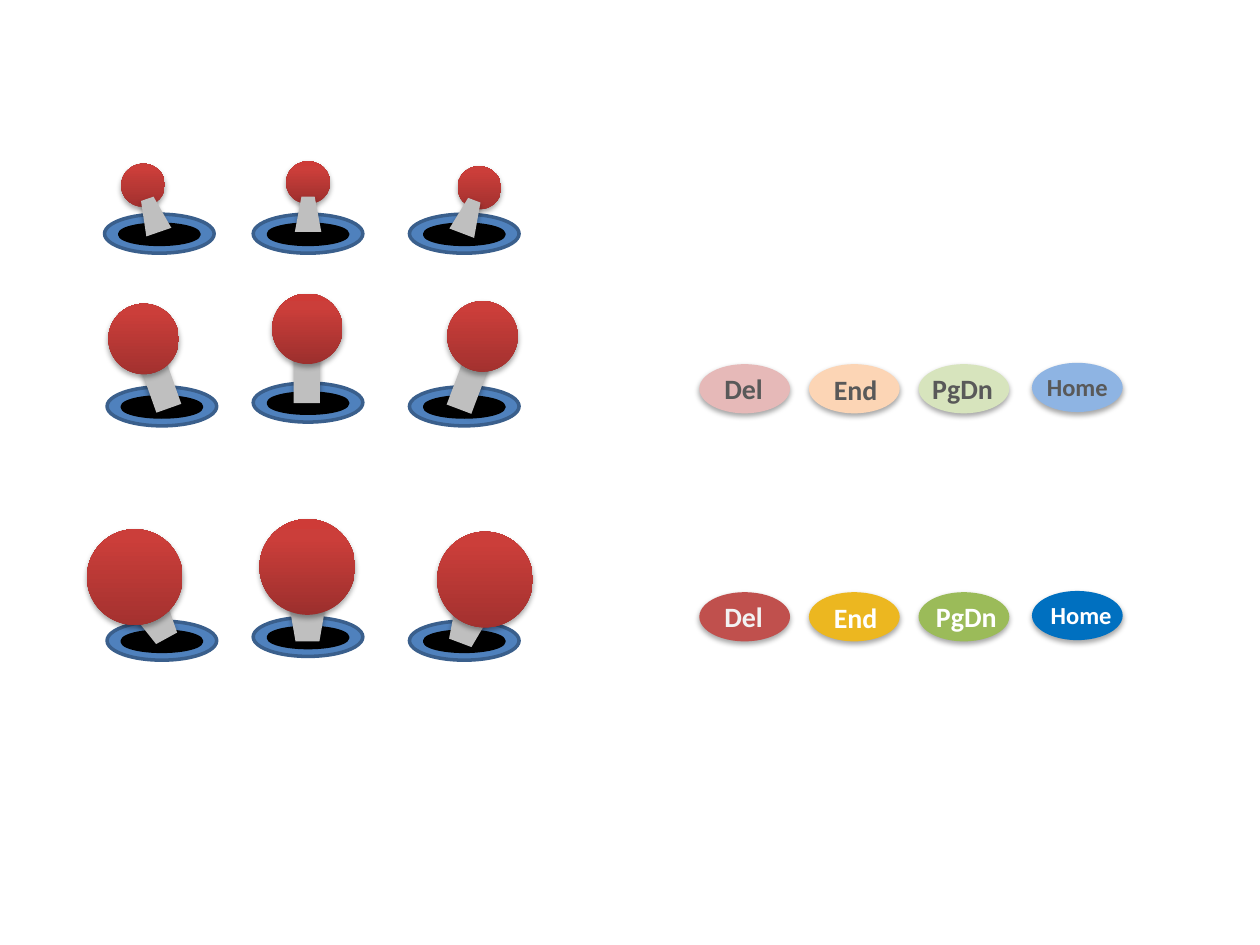
from dataclasses import dataclass

from lxml import etree
from pptx import Presentation
from pptx.dml.color import RGBColor
from pptx.enum.shapes import MSO_SHAPE
from pptx.enum.text import MSO_AUTO_SIZE
from pptx.oxml import parse_xml
from pptx.util import Inches, Pt

OVAL, RECT, TRAP = MSO_SHAPE.OVAL, MSO_SHAPE.RECTANGLE, MSO_SHAPE.TRAPEZOID
FIT = MSO_AUTO_SIZE.SHAPE_TO_FIT_TEXT
NS = "http://schemas.openxmlformats.org/drawingml/2006/main"


@dataclass(frozen=True)
class Theme:
    """Colours and type of the slide."""
    font: str = "Calibri"
    large: int = 16
    small: int = 14
    rim: str = "4F81BD"
    edge: str = "3A5F8C"
    hole: str = "000000"
    stem: str = "BFBFBF"
    ball: tuple = ((0, "9C2F2D"), (80, "CB3E3A"), (100, "CE3B37"))
    pale: tuple = ("E6B9B8", "FCD5B5", "D7E4BD", "8EB4E3")
    vivid: tuple = ("C0504D", "ECB720", "9BBB59", "0070C0")
    dim: tuple = ("595959",) * 4
    light: tuple = ("F2F2F2", "FFFFFF", "FFFFFF", "FFFFFF")


THEME = Theme()


def cast(shape):
    """Give a shape a soft shadow straight below it."""
    shape.shadow.inherit = False
    effects = shape.fill._xPr.find(f"{{{NS}}}effectLst")
    shadow = etree.fromstring(
        f'<a:outerShdw xmlns:a="{NS}" blurRad="{Pt(3.1)}" dist="{Pt(1.8)}" '
        'dir="5400000" rotWithShape="0"><a:srgbClr val="000000">'
        '<a:alpha val="35000"/></a:srgbClr></a:outerShdw>')
    effects.append(parse_xml(etree.tostring(shadow)))


def blend(shape, stops):
    """Fill a shape with colour stops that run upwards."""
    shape.fill.gradient()
    grad = shape.fill._xPr.find(f"{{{NS}}}gradFill")
    marks = "".join(f'<a:gs pos="{pos * 1000}"><a:srgbClr val="{tint}"/></a:gs>'
                    for pos, tint in stops)
    grad.getparent().replace(grad, parse_xml(
        f'<a:gradFill xmlns:a="{NS}" rotWithShape="0"><a:gsLst>{marks}</a:gsLst>'
        '<a:lin ang="16200000" scaled="0"/></a:gradFill>'))


def draw(shapes, kind, box, fill, edge=None, turn=0):
    """Add a shape: outlined and flat, or without outline and shadowed."""
    shape = shapes.add_shape(kind, *map(Inches, box))
    shape.rotation = turn % 360
    if isinstance(fill, str):
        shape.fill.solid()
        shape.fill.fore_color.rgb = RGBColor.from_string(fill)
    else:
        blend(shape, fill)
    if edge:
        shape.line.color.rgb = RGBColor.from_string(edge)
        shape.line.width = Pt(2)
        shape.shadow.inherit = False
    else:
        shape.line.fill.background()
        cast(shape)
    return shape


def socket(shapes, x, y):
    """Draw the ring and hole of a joystick from its top left corner."""
    draw(shapes, OVAL, (x, y, 0.87, 0.31), THEME.rim, THEME.edge)
    draw(shapes, OVAL, (x + 0.12, y + 0.08, 0.63, 0.16), THEME.hole, THEME.hole)


def stick(shapes, x, y, style, ball, stem, tilt):
    """Draw a joystick; ball and stem are offsets from the socket corner."""
    kind, ball_size, stem_size, flip, front = style
    socket(shapes, x, y)
    parts = [(kind, stem, stem_size, THEME.stem, tilt + flip),
             (OVAL, ball, ball_size, THEME.ball, tilt)]
    group = shapes.add_group_shape().shapes
    for form, (dx, dy), size, fill, turn in parts[::-1] if front else parts:
        draw(group, form, (x + dx, y + dy, *size), fill, turn=turn)


def label(shapes, box, text, size, tint):
    """Write a key name."""
    frame = shapes.add_textbox(*map(Inches, box)).text_frame
    frame.word_wrap = False
    frame.auto_size = FIT
    para = frame.paragraphs[0]
    para.text = text
    font = para.font
    font.name, font.size, font.bold = THEME.font, Pt(size), True
    font.color.rgb = RGBColor.from_string(tint)


def keys(shapes, y, fills, tints, shift):
    """Draw a row of keys; shift moves the two long names to the right."""
    for (text, x, lift, dx, dy, wide, size), fill, tint in zip(KEYS, fills, tints):
        draw(shapes, OVAL, (x, y - lift, 0.72, 0.39), fill)
        move = shift if dx < 0.1 else 0
        high = 0.37 if size == THEME.large else 0.34
        label(shapes, (x + dx + move, y + dy, wide, high), text, size, tint)


KEYS = (
    ("Del", 5.55, 0, 0.1, 0.01, 0.54, THEME.large),
    ("End", 6.42, 0, 0.1, 0.02, 0.57, THEME.large),
    ("PgDn", 7.29, 0, 0.01, 0.01, 0.72, THEME.large),
    ("Home", 8.19, 0.01, 0.02, 0.01, 0.7, THEME.small),
)

# Style: stem form, ball size, stem size, stem turn, stem in front
BACK = (TRAP, (0.35, 0.34), (0.21, 0.28), 0, True)
MID = (RECT, (0.56, 0.56), (0.21, 0.69), 0, False)
NEAR = (TRAP, (0.76, 0.76), (0.38, 0.55), 180, False)

# Socket corner, style, ball offset, stem offset, tilt
STICKS = (
    (0.83, 1.7, BACK, (0.13, -0.4), (0.28, -0.13), -19.1),
    (2.01, 1.7, BACK, (0.26, -0.42), (0.33, -0.14), 0),
    (3.25, 1.7, BACK, (0.38, -0.38), (0.36, -0.12), 20.8),
    (0.85, 3.07, MID, (0.01, -0.66), (0.27, -0.5), -19.5),
    (2.01, 3.04, MID, (0.15, -0.71), (0.32, -0.53), 0),
    (3.25, 3.07, MID, (0.3, -0.68), (0.41, -0.49), 20.7),
    (0.85, 4.93, NEAR, (-0.16, -0.73), (0.15, -0.38), -28.7),
    (2.01, 4.9, NEAR, (0.05, -0.78), (0.24, -0.36), 0),
    (3.25, 4.93, NEAR, (0.22, -0.71), (0.31, -0.36), 20.7),
)


def main():
    """Build and save the slide."""
    deck = Presentation()
    deck.slide_width, deck.slide_height = Inches(10), Inches(7.5)
    shapes = deck.slides.add_slide(deck.slide_layouts[6]).shapes
    for spot in STICKS:
        stick(shapes, *spot)
    keys(shapes, 2.89, THEME.pale, THEME.dim, 0)
    keys(shapes, 4.7, THEME.vivid, THEME.light, 0.03)
    deck.save("out.pptx")


main()
